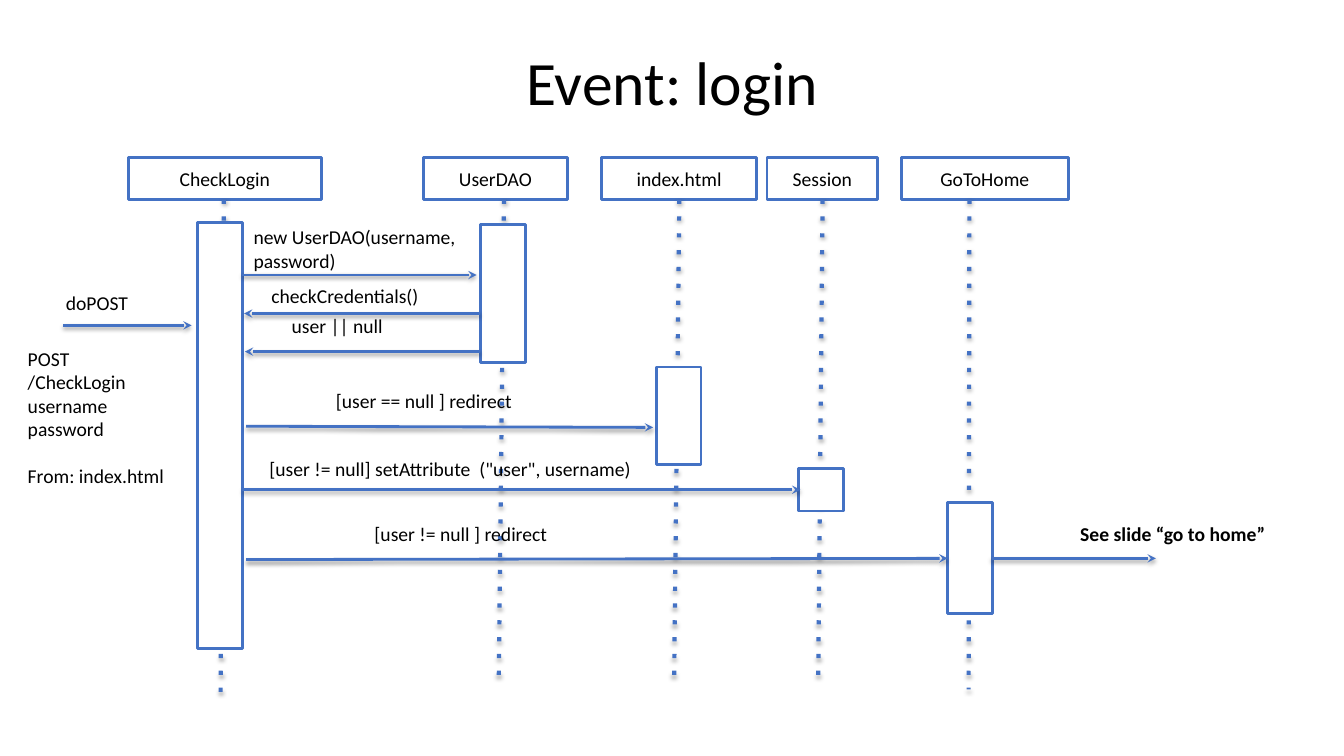
from lxml.etree import SubElement
from pptx import Presentation
from pptx.dml.color import RGBColor
from pptx.enum.shapes import MSO_CONNECTOR, MSO_SHAPE
from pptx.enum.text import MSO_ANCHOR as Anchor, PP_ALIGN as Align
from pptx.oxml.ns import qn
from pptx.util import Cm, Pt

BLUE, BLACK, WHITE = "4472C4", "000000", "FFFFFF"
HEAD_TOP, HEAD_HEIGHT = 3.96, 1.07
BAR_WIDTH = 1.13

# name, head (left, width), line (top x, bottom x, bottom y), bar (left, top, height)
LIFELINES = [
    ("CheckLogin", (3.23, 4.88), (5.64, 5.56, 17.5), (4.98, 5.61, 10.74)),
    ("UserDAO", (10.67, 3.63), (12.7, 12.57, 17.09), (12.12, 5.66, 3.48)),
    ("index.html", (15.16, 3.91), (17.12, 16.99, 17.09), (16.54, 9.25, 2.46)),
    ("Session", (19.33, 2.79), (20.73, 20.62, 17.09), (20.12, 11.81, 1.07)),
    ("GoToHome", (22.71, 4.22), (24.43, 24.41, 17.37), (23.88, 12.67, 2.79)),
]

# text, label box (left, top, width, height), arrow (start, end), label format
MESSAGES = [
    ("doPOST", (1.32, 7.16, 3.4, 1.02), ((1.6, 8.2), (4.83, 8.2)), {}),
    ("new UserDAO(username, password)", (6.05, 5.51, 5.92, 1.07),
     ((6.1, 6.93), (12.01, 6.93)), {}),
    ("checkCredentials()", (6.5, 6.99, 5.94, 0.86), ((12.09, 7.9), (6.15, 7.9)), {}),
    ("user || null", (7.01, 7.75, 4.22, 1.02), ((12.09, 8.86), (6.17, 8.86)), {}),
    ("[user == null ] redirect", (6.76, 9.63, 7.85, 0.94),
     ((6.2, 10.74), (16.46, 10.77)), {"align": Align.CENTER}),
    ('[user != null] setAttribute  ("user", username)', (6.45, 11.35, 11.53, 1.02),
     ((6.1, 12.34), (20.17, 12.34)), {}),
    ("[user != null ] redirect", (6.32, 12.98, 10.59, 0.94),
     ((6.2, 14.1), (23.88, 14.07)), {"align": Align.CENTER}),
    ("See slide “go to home”", (25.35, 12.98, 8.41, 0.94),
     ((24.99, 14.07), (29.13, 14.07)), {"align": Align.CENTER, "bold": True}),
]


def rgb(value):
    return RGBColor.from_string(value)


def write_text(shape, text, size=14, bold=False, align=Align.LEFT,
               anchor=Anchor.TOP, line_spacing=None):
    """Fill a shape with one paragraph per line of text; return the paragraphs."""
    frame = shape.text_frame
    frame.word_wrap = True
    frame.vertical_anchor = anchor
    frame.margin_left = frame.margin_right = Cm(0.34)
    frame.margin_top = frame.margin_bottom = Cm(0.17)
    frame.text = text
    for paragraph in frame.paragraphs:
        paragraph.alignment = align
        paragraph.line_spacing = line_spacing
        font = paragraph.font
        font.name, font.size, font.bold = "Calibri", Pt(size), bold
        font.color.rgb = rgb(BLACK)
    return frame.paragraphs


def add_label(slide, box, text, **text_format):
    shape = slide.shapes.add_textbox(*map(Cm, box))
    return write_text(shape, text, **text_format)


def add_box(slide, box, text=""):
    shape = slide.shapes.add_shape(MSO_SHAPE.RECTANGLE, *map(Cm, box))
    shape.shadow.inherit = False
    shape.fill.solid()
    shape.fill.fore_color.rgb = rgb(WHITE)
    shape.line.color.rgb = rgb(BLUE)
    shape.line.width = Pt(2)
    if text:
        write_text(shape, text, align=Align.CENTER, anchor=Anchor.MIDDLE)


def add_shadow(connector, distance, opacity):
    """Give a connector a soft shadow straight below it; opacity is in percent."""
    effects = SubElement(connector._element.spPr, qn("a:effectLst"))
    shadow = SubElement(effects, qn("a:outerShdw"), blurRad=str(Pt(3.1)),
                        dist=str(Pt(distance)), dir="5400000", rotWithShape="0")
    color = SubElement(shadow, qn("a:srgbClr"), val=BLACK)
    SubElement(color, qn("a:alpha"), val=str(opacity * 1000))


def add_line(slide, start, end, width):
    connector = slide.shapes.add_connector(
        MSO_CONNECTOR.STRAIGHT, *map(Cm, (*start, *end)))
    connector.line.color.rgb = rgb(BLUE)
    connector.line.width = Pt(width)
    return connector


def add_dotted_line(slide, start, end):
    connector = add_line(slide, start, end, 3)
    SubElement(connector.line._get_or_add_ln(), qn("a:prstDash"), val="dot")
    add_shadow(connector, 1.8, 35)


def add_arrow(slide, start, end):
    connector = add_line(slide, start, end, 2)
    SubElement(connector.line._get_or_add_ln(), qn("a:tailEnd"), type="stealth")
    add_shadow(connector, 1.6, 38)


def add_lifeline(slide, name, head, line, bar):
    left, width = head
    top_x, bottom_x, bottom_y = line
    bar_left, bar_top, bar_height = bar
    add_box(slide, (left, HEAD_TOP, width, HEAD_HEIGHT), name)
    add_dotted_line(slide, (top_x, HEAD_TOP + HEAD_HEIGHT), (bottom_x, bottom_y))
    add_box(slide, (bar_left, bar_top, BAR_WIDTH, bar_height))


def main():
    presentation = Presentation()
    presentation.slide_width, presentation.slide_height = Cm(33.87), Cm(19.05)
    slide = presentation.slides.add_slide(presentation.slide_layouts[6])

    add_label(slide, (1.7, 0.76, 30.48, 2.79), "Event: login", size=44,
              align=Align.CENTER, anchor=Anchor.MIDDLE, line_spacing=0.9)
    for lifeline in LIFELINES:
        add_lifeline(slide, *lifeline)
    for text, box, arrow, text_format in MESSAGES:
        add_arrow(slide, *arrow)
        add_label(slide, box, text, **text_format)

    request = add_label(slide, (0.36, 8.56, 4.47, 7.8),
                        "POST\n/CheckLogin\nusername\npassword\nFrom: index.html")
    request[-1].space_before = Pt(17)

    presentation.save("out.pptx")


if __name__ == "__main__":
    main()
